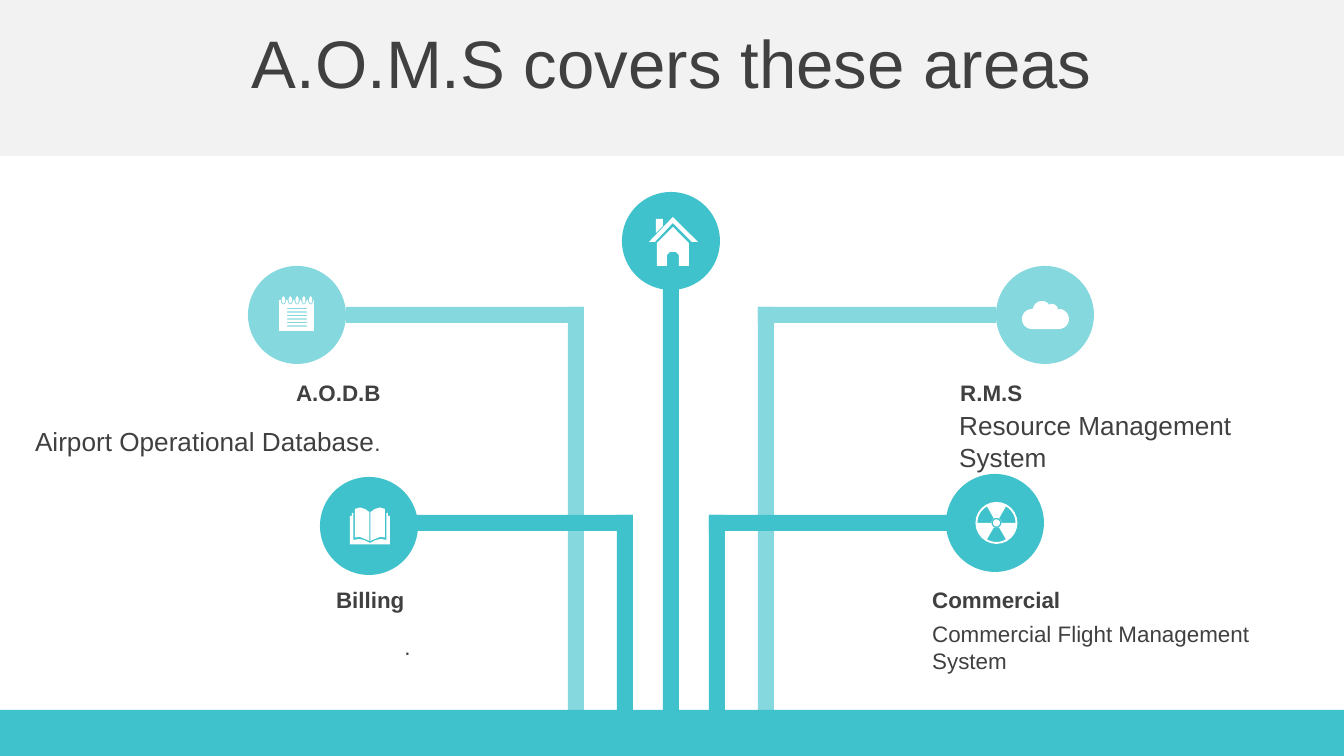
"""Builds the slide that shows the areas A.O.M.S covers as a branching tree."""
from math import cos, radians, sin

from pptx import Presentation
from pptx.dml.color import RGBColor
from pptx.enum.shapes import MSO_SHAPE
from pptx.enum.text import MSO_ANCHOR, MSO_AUTO_SIZE, PP_ALIGN
from pptx.util import Pt

PX = 914400 / 134.4
WIDE, HIGH, FLOOR, AXIS = 1344, 756, 710, 671
BAR, ARM, DISC = 16, 238, 98
TEAL, PALE, GREY, INK, WHITE = "3FC2CB", "85D8DE", "F2F2F2", "404040", "FFFFFF"
LEFT, RIGHT, MID = PP_ALIGN.LEFT, PP_ALIGN.RIGHT, PP_ALIGN.CENTER

TITLE = "A.O.M.S covers these areas"
BRANCHES = [
    {"hue": PALE, "side": -1, "gap": 87, "top": 307, "disc": (248, 266)},
    {"hue": PALE, "side": 1, "gap": 87, "top": 307, "disc": (996, 266)},
    {"hue": TEAL, "side": 1, "gap": 38, "top": 515, "disc": (946, 474)},
    {"hue": TEAL, "side": -1, "gap": 38, "top": 515, "disc": (320, 477)},
]
LABELS = [
    ((16, 418, 378, 46), [("Airport Operational Database", 14), (".", 12)], False, RIGHT),
    ((16, 373, 378, 40), [("A.O.D.B", 12)], True, RIGHT),
    ((46, 627, 378, 40), [(".", 12)], False, RIGHT),
    ((46, 580, 378, 40), [("Billing ", 12)], True, RIGHT),
    ((919, 613, 378, 68), [("Commercial Flight Management System", 12)], False, LEFT),
    ((919, 580, 378, 40), [("Commercial", 12)], True, LEFT),
    ((946, 418, 390, 46), [("Resource Management System", 14)], False, LEFT),
    ((947, 373, 378, 40), [("R.M.S", 12)], True, LEFT),
]
HOUSE = [
    [(673, 227), (689, 243), (689, 266), (679, 266), (679, 255), (676, 252),
     (670, 252), (667, 255), (667, 266), (657, 266), (657, 243)],
    [(656, 219), (663, 219), (663, 226), (656, 233)],
    [(673, 217), (698, 242), (692, 242), (673, 223), (655, 242), (649, 242)],
]
PAGES = [
    [(350, 516), (352, 516), (352, 513), (353.5, 513), (353.5, 540), (359, 539),
     (364, 540), (370, 543), (370, 544.5), (350, 544.5)],
    [(355, 509), (360, 507.5), (365, 509), (369.5, 512), (369.5, 541),
     (365, 539), (360, 537), (355, 537.5)],
]


def px(num):
    return round(num * PX)


def paint(shape, hue):
    shape.shadow.inherit = False
    shape.fill.solid()
    shape.fill.fore_color.rgb = RGBColor.from_string(hue)
    shape.line.fill.background()
    return shape


def draw(kind, hue, *box):
    return paint(slide.shapes.add_shape(kind, *map(px, box)), hue)


def rect(hue, *box):
    return draw(MSO_SHAPE.RECTANGLE, hue, *box)


def disc(hue, left, top):
    return draw(MSO_SHAPE.OVAL, hue, left, top, DISC, DISC)


def write(shape, runs, align=LEFT, bold=False, hue=INK):
    frame = shape.text_frame
    frame.word_wrap = True
    frame.auto_size = MSO_AUTO_SIZE.NONE
    frame.vertical_anchor = MSO_ANCHOR.MIDDLE
    para = frame.paragraphs[0]
    para.alignment = align
    for text, size in runs:
        run = para.add_run()
        run.text = text
        font = run.font
        font.name, font.size, font.bold = "Arial", Pt(size), bold
        font.color.rgb = RGBColor.from_string(hue)


def arc(mid, rad, start=0, end=360, steps=24):
    turns = [radians(start + (end - start) * n / steps) for n in range(steps + 1)]
    return [(mid[0] + rad[0] * cos(t), mid[1] + rad[1] * sin(t)) for t in turns]


def icon(loops):
    pen = None
    for loop in loops:
        first, *rest = [(px(x), px(y)) for x, y in loop]
        if pen:
            pen.move_to(*first)
        else:
            pen = slide.shapes.build_freeform(*first)
        pen.add_line_segments(rest, close=True)
    paint(pen.convert_to_shape(), WHITE)


def book():
    return PAGES + [[(740 - x, y) for x, y in loop] for loop in PAGES]


def cloud():
    return [arc((1032, 319), (10, 10), 90, 270) + arc((1042, 310), (9, 9), 190, 320)
            + arc((1052, 310), (6, 6), 230, 360) + arc((1059, 319), (10, 10), -90, 90)]


def notes():
    rings = [(283.5 + 6.8 * n, 300) for n in range(5)]
    sheet = [(279, 300)]
    for ring in rings:
        sheet += arc(ring, (2.7, 4.5), 180, 0)
    sheet += [(314, 300), (314, 331), (279, 331)]
    rows = [308 + 3.5 * n for n in range(6)]
    lines = [[(287, y), (307, y), (307, y + 1.3), (287, y + 1.3)] for y in rows]
    return [sheet] + lines + [arc(ring, (1.6, 3.5)) for ring in rings]


def atom():
    mid = (996.5, 523)
    loops = [arc(mid, (21, 21)), arc(mid, (5, 5)), arc(mid, (3.5, 3.5))]
    for turn in (90, 210, 330):
        loops.append(arc(mid, (19, 19), turn - 30, turn + 30)
                     + arc(mid, (5, 5), turn + 30, turn - 30))
    return loops


deck = Presentation()
deck.slide_width, deck.slide_height = px(WIDE), px(HIGH)
slide = deck.slides.add_slide(deck.slide_layouts[5])
title = slide.shapes.title
title.left, title.top, title.width, title.height = map(px, (0, 19, WIDE, 85))
write(title, [(TITLE, 36)], align=MID)
title.element.addprevious(rect(GREY, 0, 0, WIDE, 156).element)

for part in BRANCHES:
    hue, side, top = part["hue"], part["side"], part["top"]
    edge = AXIS + side * part["gap"]
    rect(hue, min(edge, edge + side * BAR), top, BAR, FLOOR - top)
    rect(hue, min(edge, edge + side * ARM), top, ARM, BAR)
    disc(hue, *part["disc"])

for box, runs, bold, align in LABELS:
    write(slide.shapes.add_textbox(*map(px, box)), runs, align=align, bold=bold)

rect(TEAL, 0, FLOOR, WIDE, HIGH - FLOOR)
rect(TEAL, AXIS - BAR / 2, 234, BAR, FLOOR - 234)
disc(TEAL, AXIS - DISC / 2, 192)
for loops in (book(), cloud(), notes(), atom(), HOUSE):
    icon(loops)

deck.save("out.pptx")
